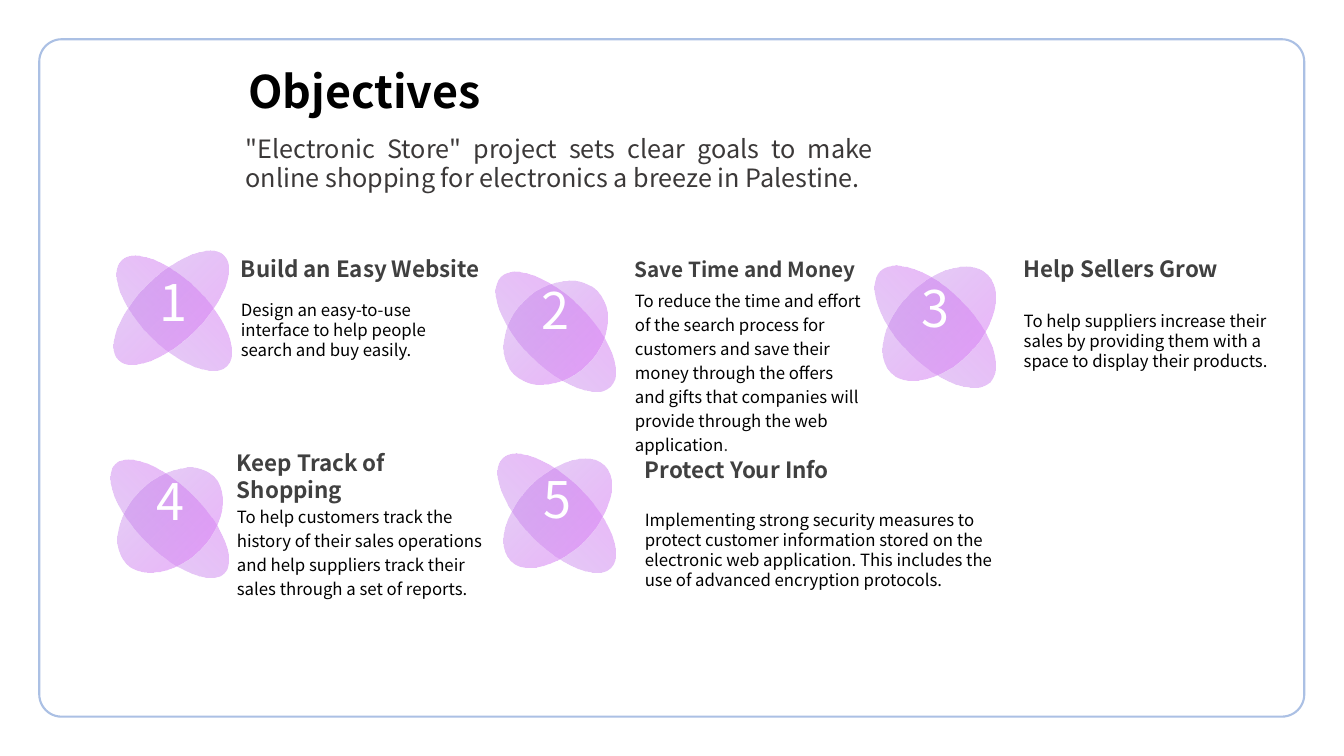
from lxml.etree import SubElement
from pptx import Presentation
from pptx.dml.color import RGBColor
from pptx.enum.shapes import MSO_SHAPE
from pptx.enum.text import MSO_ANCHOR, PP_ALIGN
from pptx.oxml.ns import qn
from pptx.util import Cm, Pt

FONT = "Noto Sans CJK SC"
LINE = 1.19  # line pitch per point of text size
WHITE = RGBColor(0xFF, 0xFF, 0xFF)
BLACK = RGBColor(0, 0, 0)
GREY = RGBColor(0x40, 0x40, 0x40)
SUBTITLE_GREY = RGBColor(0x3B, 0x38, 0x38)
FRAME_BLUE = RGBColor(0xAB, 0xC0, 0xE4)
PETAL_STOPS = [(RGBColor(0xAF, 0x74, 0xE2), 31), (RGBColor(0xEE, 0x94, 0xFE), 69)]

# Content; every box is left, top, width, height in cm
TITLE = "Objectives"
SUBTITLE = ('"Electronic Store" project sets clear goals to make online shopping '
            "for electronics a breeze in Palestine.")
OBJECTIVES = [
    dict(head="Build an Easy Website", size=16, spacing=1.0,
         body=[("Design an easy-to-use interface to help people search and buy easily.", BLACK)],
         petals=[(3.56, 6.02, 1.65, 3.73), (3.48, 5.89, 1.65, 3.73)],
         number_at=(3.78, 6.73, 0.99, 1.8),
         head_at=(5.82, 6.3, 6.6, 0.89), body_at=(5.82, 7.44, 6.02, 3.3)),
    dict(head="Save Time and Money", size=14.8, spacing=1.2,
         body=[("To reduce the time and effort of the search process for customers and "
                "save their money through the offers and gifts that companies will "
                "provide through the web application", BLACK), (".", GREY)],
         petals=[(13.13, 6.4, 1.75, 3.91), (12.88, 6.91, 2.24, 2.95)],
         number_at=(13.36, 6.93, 1.3, 2.46),
         head_at=(15.75, 6.35, 6.25, 1.22), body_at=(15.75, 7.11, 6.22, 3.48)),
    dict(head="Help Sellers Grow", size=16, spacing=1.0,
         body=[("To help suppliers increase their sales by providing them with a space "
                "to display their products.", BLACK)],
         petals=[(22.63, 6.27, 1.85, 3.91), (22.61, 6.43, 2.11, 3.45)],
         number_at=(22.89, 6.88, 1.37, 2.31),
         head_at=(25.55, 6.32, 6.6, 1.14), body_at=(25.55, 7.7, 7.34, 4.04)),
    dict(head="Keep Track of Shopping", size=16, spacing=1.2,
         body=[("To help customers track the history of their sales operations and help "
                "suppliers track their sales through a set of reports.", BLACK)],
         petals=[(3.45, 11.15, 1.65, 3.84), (3.23, 11.56, 2.11, 3.1)],
         number_at=(3.68, 11.73, 1.22, 2.29),
         head_at=(5.72, 11.2, 6.5, 1.68), body_at=(5.72, 12.55, 6.91, 5.21)),
    dict(head="Protect Your Info", size=16, spacing=1.0,
         body=[("Implementing strong security measures to protect customer information "
                "stored on the electronic web application. This includes the use of "
                "advanced encryption protocols.", BLACK)],
         petals=[(13.18, 11, 1.7, 3.86), (13.08, 11.25, 1.93, 3.35)],
         number_at=(13.41, 11.68, 1.27, 2.13),
         head_at=(16, 11.38, 6.17, 1.04), body_at=(16, 12.73, 9.55, 3.96)),
]


def cm(box):
    return [Cm(v) for v in box]


def set_alpha(sp, percents):
    colours = sp._element.spPr.iter(qn("a:srgbClr"))
    for colour, percent in zip(colours, percents):
        SubElement(colour, qn("a:alpha")).set("val", str(percent * 1000))


def write(sp, runs, size, bold=False, align=PP_ALIGN.LEFT, spacing=1.0, wrap=True):
    tf = sp.text_frame
    tf.word_wrap = wrap
    tf.vertical_anchor = MSO_ANCHOR.TOP
    p = tf.paragraphs[0]
    p.alignment = align
    p.line_spacing = Pt(round(size * LINE * spacing, 1))
    p.space_before = Pt(0)
    for text, colour in runs:
        r = p.add_run()
        r.text = text
        r.font.name = FONT
        r.font.size = Pt(size)
        r.font.bold = bold
        r.font.color.rgb = colour


def add_petal(shapes, box, rotation, flipped):
    sp = shapes.add_shape(MSO_SHAPE.OVAL, *cm(box))
    sp.shadow.inherit = False
    sp.line.fill.background()
    sp.rotation = rotation
    if flipped:
        sp._element.spPr.find(qn("a:xfrm")).set("flipV", "1")
    sp.fill.gradient()
    sp.fill.gradient_angle = 0
    for stop, (colour, _) in zip(sp.fill.gradient_stops, PETAL_STOPS):
        stop.color.rgb = colour
    set_alpha(sp, [alpha for _, alpha in PETAL_STOPS])


prs = Presentation()
prs.slide_width, prs.slide_height = Cm(33.87), Cm(19.05)
s = prs.slides.add_slide(prs.slide_layouts[5])

# Rounded frame
frame = s.shapes.add_shape(MSO_SHAPE.ROUNDED_RECTANGLE, *cm((0.99, 0.99, 31.88, 17.07)))
frame.adjustments[0] = 0.033
frame.shadow.inherit = False
frame.fill.solid()
frame.fill.fore_color.rgb = WHITE
set_alpha(frame, [98])
frame.line.color.rgb = FRAME_BLUE
frame.line.width = Pt(1.5)

# Title in front of the frame, with the subtitle below it
title = s.shapes.title
frame._element.addnext(title._element)
title.left, title.top, title.width, title.height = cm((4.42, 1.5, 9.53, 1.93))
write(title, [(TITLE, BLACK)], 32, bold=True, align=PP_ALIGN.CENTER)
subtitle = s.shapes.add_textbox(*cm((5.94, 3.23, 16.31, 1.8)))
write(subtitle, [(SUBTITLE, SUBTITLE_GREY)], 18, align=PP_ALIGN.JUSTIFY)

# Numbered objectives: crossed petals, number, heading, description
for number, item in enumerate(OBJECTIVES, 1):
    shapes = s.shapes.add_group_shape().shapes
    for box, rotation, flipped in zip(item["petals"], (315, 45), (False, True)):
        add_petal(shapes, box, rotation, flipped)
    write(shapes.add_textbox(*cm(item["number_at"])), [(str(number), WHITE)], 36,
          align=PP_ALIGN.CENTER, wrap=False)
    write(shapes.add_textbox(*cm(item["head_at"])), [(item["head"], GREY)],
          item["size"], bold=True)
    write(shapes.add_textbox(*cm(item["body_at"])), item["body"], 12,
          spacing=item["spacing"])

prs.save("out.pptx")
